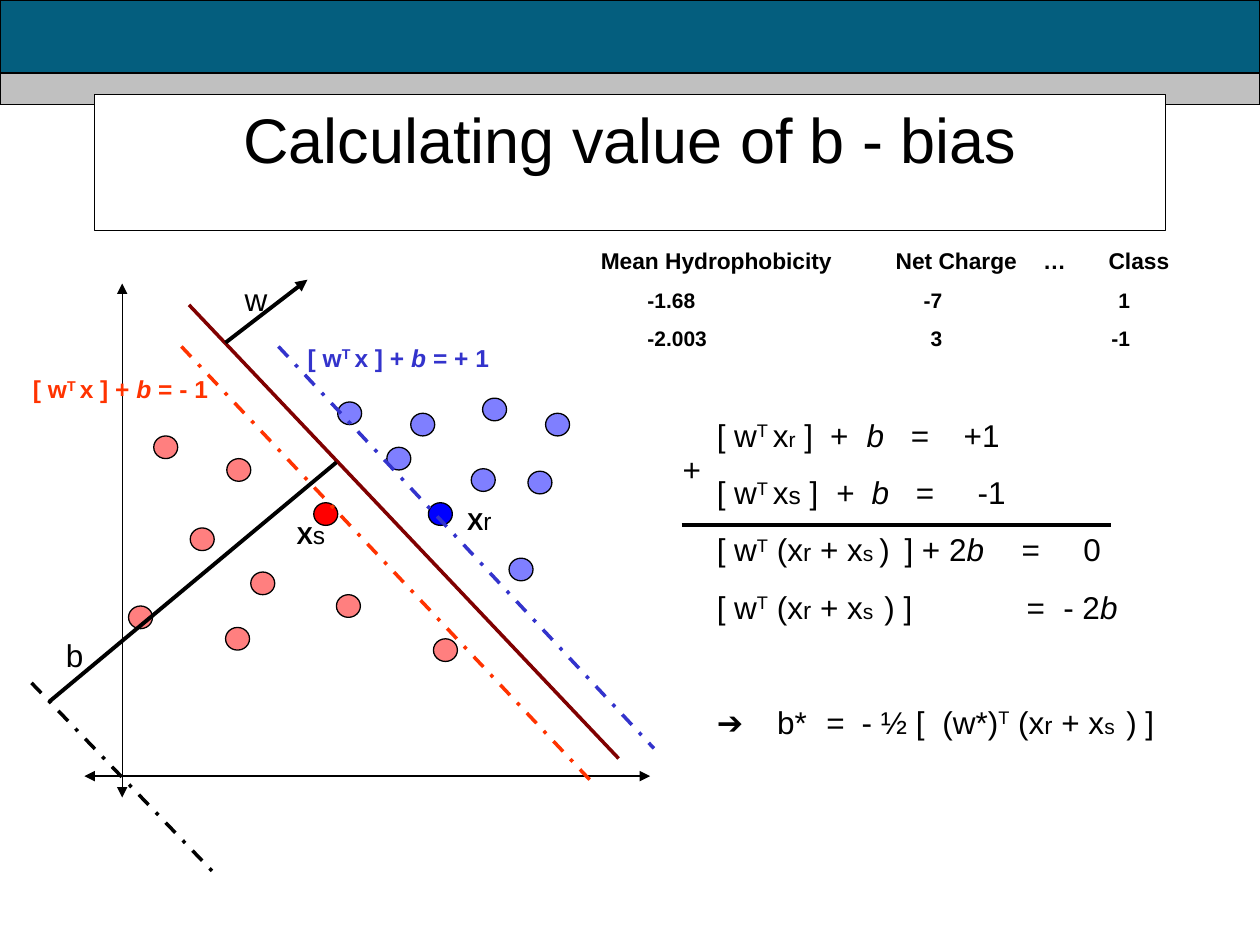
from dataclasses import dataclass
from typing import NamedTuple

from lxml import etree
from pptx import Presentation
from pptx.dml.color import RGBColor
from pptx.enum.dml import MSO_LINE
from pptx.enum.shapes import MSO_CONNECTOR, MSO_SHAPE
from pptx.enum.text import MSO_ANCHOR, MSO_AUTO_SIZE, PP_ALIGN
from pptx.oxml.ns import qn
from pptx.util import Inches, Pt

DASH_DOT = MSO_LINE.DASH_DOT
STRAIGHT = MSO_CONNECTOR.STRAIGHT
RECTANGLE, OVAL = MSO_SHAPE.RECTANGLE, MSO_SHAPE.OVAL
LEFT, CENTER, RIGHT = PP_ALIGN.LEFT, PP_ALIGN.CENTER, PP_ALIGN.RIGHT
TOP = MSO_ANCHOR.TOP
NO_FIT, FIT_SHAPE = MSO_AUTO_SIZE.NONE, MSO_AUTO_SIZE.SHAPE_TO_FIT_TEXT


@dataclass(frozen=True)
class Theme:
    font: str = "Arial"
    black: str = "000000"
    white: str = "FFFFFF"
    band: str = "045E7E"
    strip: str = "C0C0C0"
    negative: str = "FF0000"
    positive: str = "0000FF"
    negative_margin: str = "FF3300"
    positive_margin: str = "3333CC"
    boundary: str = "800000"
    title: float = 36
    body: float = 18
    label: float = 14
    header: float = 13
    small: float = 12
    thin: float = 0.75
    medium: float = 2
    thick: float = 2.25


THEME = Theme()


class Run(NamedTuple):
    text: str
    format: dict = {}
    baseline: int = 0


class Line(NamedTuple):
    """One paragraph; tabs are (inches, alignment) pairs."""
    runs: list[Run]
    tabs: list[tuple[float, str]] = []
    space_before: float = 0


class Label(NamedTuple):
    box: tuple[float, float, float, float]
    lines: list[Line]
    format: dict
    align: PP_ALIGN = RIGHT
    wrap: bool = False


class Stroke(NamedTuple):
    start: tuple[float, float]
    end: tuple[float, float]
    color: str = THEME.black
    width: float = THEME.thick
    dash: MSO_LINE | None = None
    arrows: tuple[str, ...] = ()


class Dots(NamedTuple):
    color: str
    support: tuple[float, float]
    others: list[tuple[float, float]]


def plain(text: str) -> Run:
    return Run(text)


def italic(text: str) -> Run:
    return Run(text, {"italic": True})


def sized(text: str, size: float) -> Run:
    return Run(text, {"size": Pt(size)})


def transpose(text: str = "T") -> Run:
    return Run(text, baseline=30000)


def left_tabs(*positions: float) -> list[tuple[float, str]]:
    return [(position, "l") for position in positions]


def single_equation(subscript: Run, value: str, *tabs: float) -> list:
    return [[plain("[ w"), transpose("T "), plain("x"), subscript, plain(" ]\t+\t"),
             italic("b"), plain(f"\t=\t{value}")], left_tabs(*tabs)]


def summed(opening: str, *ending: Run) -> list[Run]:
    return [plain(opening), transpose(), plain(" (x"), sized("r", THEME.label),
            plain(" + x"), sized("s", THEME.small), *ending]


def apply_format(target, values: dict) -> None:
    for name, value in values.items():
        if name == "color":
            target.color.rgb = RGBColor.from_string(value)
        else:
            setattr(target, name, value)


def text_format(size: float, color: str = THEME.black, bold: bool = False) -> dict:
    return {"name": THEME.font, "size": Pt(size), "color": color, "bold": bold}


def paint(shape, fill: str, alpha: int = 100) -> None:
    shape.fill.solid()
    shape.fill.fore_color.rgb = RGBColor.from_string(fill)
    apply_format(shape.line, {"color": THEME.black, "width": Pt(THEME.thin)})
    if alpha < 100:
        color = shape._element.spPr.find(qn("a:solidFill")).find(qn("a:srgbClr"))
        etree.SubElement(color, qn("a:alpha"), val=str(alpha * 1000))


def add_preset(slide, preset: MSO_SHAPE, box: tuple, fill: str, alpha: int = 100) -> None:
    shape = slide.shapes.add_shape(preset, *map(Inches, box))
    shape.shadow.inherit = False
    paint(shape, fill, alpha)


def add_stroke(slide, stroke: Stroke) -> None:
    connector = slide.shapes.add_connector(
        STRAIGHT, *map(Inches, (*stroke.start, *stroke.end)))
    apply_format(connector.line, {"color": stroke.color, "width": Pt(stroke.width)})
    if stroke.dash:
        connector.line.dash_style = stroke.dash
    properties = connector._element.spPr
    for arrow in stroke.arrows:
        etree.SubElement(properties.find(qn("a:ln")), qn(f"a:{arrow}"), type="triangle")
    etree.SubElement(properties, qn("a:effectLst"))


def add_label(slide, label: Label) -> None:
    frame = slide.shapes.add_textbox(*map(Inches, label.box)).text_frame
    apply_format(frame, {"word_wrap": label.wrap, "auto_size": FIT_SHAPE})
    for index, line in enumerate(label.lines):
        paragraph = frame.add_paragraph() if index else frame.paragraphs[0]
        if line.tabs:
            tab_list = etree.SubElement(paragraph._p.get_or_add_pPr(), qn("a:tabLst"))
            for position, side in line.tabs:
                etree.SubElement(tab_list, qn("a:tab"), pos=str(Inches(position)), algn=side)
        paragraph.alignment = label.align
        if index:
            paragraph.space_before = Pt(line.space_before)
        for part in line.runs:
            run = paragraph.add_run()
            run.text = part.text
            apply_format(run.font, label.format | part.format)
            if part.baseline:
                run._r.get_or_add_rPr().set("baseline", str(part.baseline))


def add_title(slide, text: str) -> None:
    title = slide.shapes.title
    apply_format(title, dict(zip(("left", "top", "width", "height"),
                                 map(Inches, (0.75, 0.75, 8.5, 1.08)))))
    paint(title, THEME.white)
    frame = title.text_frame
    frame.text = text
    apply_format(frame, {"vertical_anchor": TOP, "word_wrap": True, "auto_size": NO_FIT})
    frame.paragraphs[0].alignment = CENTER
    apply_format(frame.paragraphs[0].runs[0].font, text_format(THEME.title))
    slide.shapes._spTree.append(title._element)  # in front of the bands


def margin_label(box: tuple, value: str, color: str) -> Label:
    runs = [plain("[ w"), transpose("T "), plain("x ] + "), italic("b"), plain(f" = {value}")]
    return Label(box, [Line(runs)], text_format(THEME.label, color, True))


def support_label(box: tuple, subscript: str) -> Label:
    runs = [plain("X"), Run(subscript, {"bold": False})]
    return Label(box, [Line(runs)], text_format(THEME.label, bold=True))


BOTH_ENDS = ("headEnd", "tailEnd")
ROW_TABS = [(0.37, "l"), (2.71, "r"), (4.2, "r")]
DATA_LINES = [Line([plain("Mean Hydrophobicity\tNet Charge\t…\tClass")],
                   left_tabs(2.34, 3.51, 4.03))] + [
    Line([sized(f"\t{hydrophobicity}\t{charge}\t{group}", THEME.small)], ROW_TABS, 7.5)
    for hydrophobicity, charge, group in (("-1.68", "-7", "1"), ("-2.003", "3", "-1"))]
EQUATIONS = [
    Line(*single_equation(sized("r", THEME.small), "+1", 0.9, 1.19, 1.54, 1.96)),
    Line(*single_equation(sized("s", THEME.label), "-1", 0.95, 1.23, 1.58, 2.07), 11.2),
    Line(summed("[ w", sized(" ", THEME.small), plain(")\t] + 2"), italic("b"),
                plain("\t=\t0")), left_tabs(1.49, 2.42, 2.91), 11.2),
    Line(summed("[ w", plain("\t) ]\t=\t- 2"), italic("b")),
         left_tabs(1.33, 2.46, 2.75), 11.2),
    Line(summed("➔\tb*\t=\t- ½ [\t(w*)", plain("\t) ]")),
         left_tabs(0.48, 0.87, 1.15, 1.79, 3.25), 43.9)]
LABELS = [
    Label((4.67, 1.91, 4.75, 0.93), DATA_LINES, text_format(THEME.header, bold=True), LEFT, True),
    Label((5.59, 3.25, 3.71, 2.68), EQUATIONS, text_format(THEME.body), LEFT, True),
    margin_label((0.16, 2.92, 1.59, 0.34), "- 1", THEME.negative_margin),
    margin_label((2.34, 2.67, 1.64, 0.34), "+ 1", THEME.positive_margin),
    support_label((3.55, 3.97, 0.45, 0.34), "r"),
    support_label((2.23, 4.08, 0.45, 0.34), "s")] + [
    Label(box, [Line([plain(text)])], text_format(THEME.body)) for text, box in (
        ("+", (5.32, 3.52, 0.34, 0.4)), ("b", (0.42, 5, 0.34, 0.4)),
        ("w", (1.84, 2.17, 0.38, 0.4)))]
DOTS = [
    Dots(THEME.negative, (2.49, 3.99),
         [(1.22, 3.46), (1.51, 4.19), (1.8, 3.64), (1.02, 4.81), (1.99, 4.54),
          (2.67, 4.72), (1.79, 4.98), (3.44, 5.07)]),
    Dots(THEME.positive, (3.4, 3.99),
         [(2.68, 3.19), (3.83, 3.16), (3.07, 3.55), (3.74, 3.72), (3.26, 3.28),
          (4.04, 4.43), (4.33, 3.28), (4.19, 3.74)])]
STROKES = [
    Stroke((5.41, 4.17), (8.82, 4.17)),
    Stroke((0.67, 6.16), (5.16, 6.16), width=THEME.thin, arrows=BOTH_ENDS),
    Stroke((0.97, 2.25), (0.97, 6.33), width=THEME.thin, arrows=BOTH_ENDS),
    Stroke((1.5, 2.42), (4.91, 6.02), THEME.boundary, THEME.medium),
    Stroke((2.21, 2.75), (5.19, 5.94), THEME.positive_margin, THEME.medium, DASH_DOT),
    Stroke((1.44, 2.75), (4.71, 6.22), THEME.negative_margin, THEME.medium, DASH_DOT),
    Stroke((0.25, 5.42), (1.69, 6.92), width=THEME.medium, dash=DASH_DOT),
    Stroke((0.39, 5.57), (2.67, 3.67)),
    Stroke((1.79, 2.72), (2.44, 2.22), arrows=("tailEnd",))]


def main() -> None:
    presentation = Presentation()
    presentation.slide_width, presentation.slide_height = Inches(10), Inches(7.5)
    slide = presentation.slides.add_slide(presentation.slide_layouts[5])
    add_preset(slide, RECTANGLE, (0, 0, 10, 0.83), THEME.band)
    add_preset(slide, RECTANGLE, (0, 0.58, 10, 0.25), THEME.strip)
    add_title(slide, "Calculating value of b - bias")
    for dots in DOTS:
        for position in (dots.support, *dots.others):
            alpha = 100 if position == dots.support else 50
            add_preset(slide, OVAL, (*position, 0.19, 0.18), dots.color, alpha)
    for stroke in STROKES:
        add_stroke(slide, stroke)
    for label in LABELS:
        add_label(slide, label)
    presentation.save("out.pptx")


if __name__ == "__main__":
    main()
